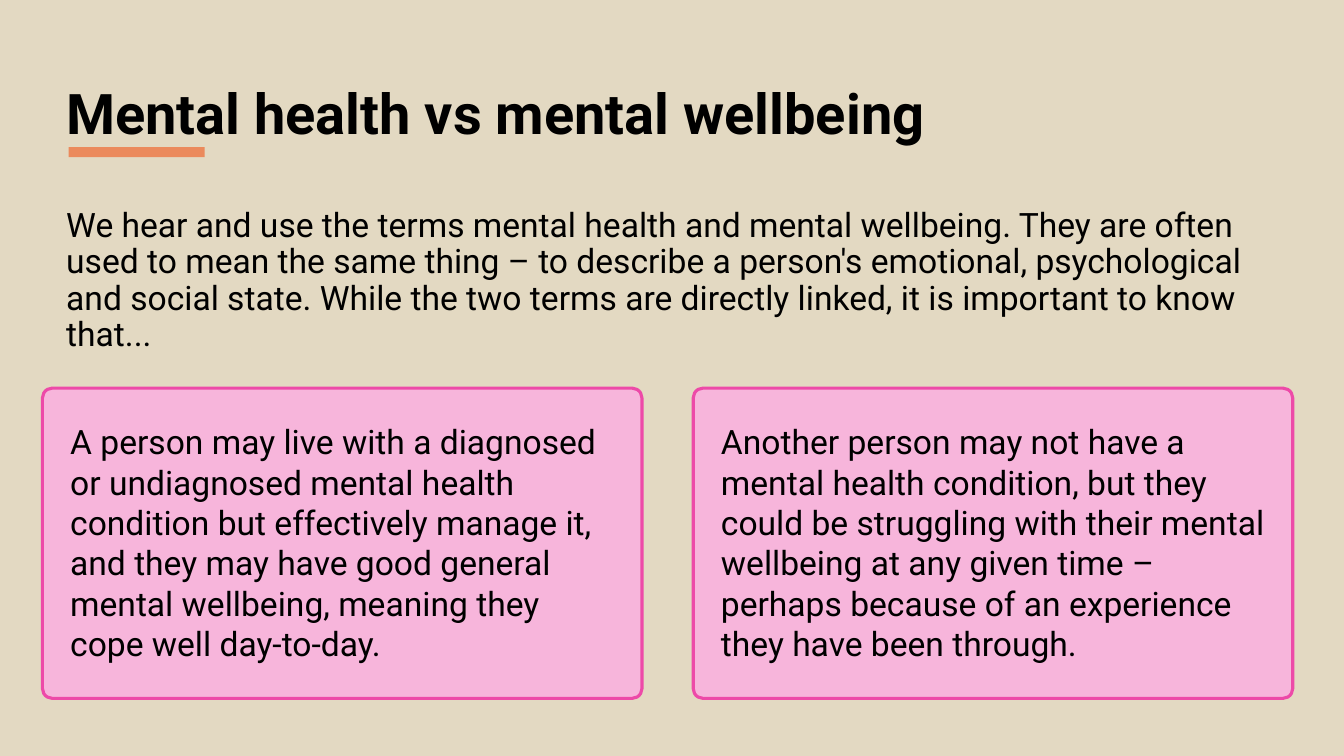
"""Builds the slide that sets mental health against mental wellbeing."""
from dataclasses import dataclass

from pptx import Presentation
from pptx.dml.color import RGBColor
from pptx.enum.shapes import MSO_SHAPE as Shp
from pptx.enum.text import MSO_ANCHOR as Anchor, MSO_AUTO_SIZE as Fit, PP_ALIGN as Align
from pptx.util import Cm, Pt

SAND = RGBColor(0xE3, 0xD9, 0xC2)
PINK = RGBColor(0xF7, 0xB5, 0xDB)
MAGENTA = RGBColor(0xED, 0x4A, 0xA8)
ORANGE = RGBColor(0xEB, 0x8A, 0x5C)
BLACK = RGBColor(0, 0, 0)
FONT = "Roboto"


@dataclass(frozen=True)
class Box:
    """A rectangle in centimetres."""
    x: float
    y: float
    w: float
    h: float

    def lengths(self) -> tuple:
        """Return left, top, width and height as lengths."""
        return Cm(self.x), Cm(self.y), Cm(self.w), Cm(self.h)


TITLE_BOX = Box(1.42, 1.93, 29.21, 2.03)
INTRO_BOX = Box(1.42, 5.13, 31.5, 3.2)
BAR_BOX = Box(1.73, 3.71, 3.43, 0.25)
CARD_LEFT, CARD_TOP, CARD_W, CARD_H = 1.07, 9.78, 15.11, 7.82
CARD_PITCH = 16.4
INSET_X, INSET_Y = 0.45, 0.71

TITLE = "Mental health vs mental wellbeing"
INTRO = (
    "We hear and use the terms mental health and mental wellbeing. They are often "
    "used to mean the same thing – to describe a person's emotional, psychological "
    "and social state. While the two terms are directly linked, it is important to "
    "know that..."
)
CARDS = (
    "A person may live with a diagnosed or undiagnosed mental health condition but "
    "effectively manage it, and they may have good general mental wellbeing, meaning "
    "they cope well day-to-day.",
    "Another person may not have a mental health condition, but they could be "
    "struggling with their mental wellbeing at any given time – perhaps because of "
    "an experience they have been through.",
)


def write(sp, text: str, size: int = 24, bold: bool = False,
          anchor=Anchor.TOP, spacing: float = 1.0):
    """Fill a shape with one left-aligned paragraph and return it."""
    tf = sp.text_frame
    tf.word_wrap = True
    tf.vertical_anchor = anchor
    p = tf.paragraphs[0]
    p.alignment = Align.LEFT
    p.line_spacing = spacing
    r = p.add_run()
    r.text = text
    r.font.name = FONT
    r.font.size = Pt(size)
    r.font.bold = bold
    r.font.color.rgb = BLACK
    return p


def add_panel(shapes, kind, box: Box, fill: RGBColor):
    """Add a flat filled shape without a line."""
    sp = shapes.add_shape(kind, *box.lengths())
    sp.shadow.inherit = False
    sp.fill.solid()
    sp.fill.fore_color.rgb = fill
    sp.line.fill.background()
    return sp


def add_card(s, column: int, text: str) -> None:
    """Add a grouped rounded card with its text."""
    shapes = s.shapes.add_group_shape().shapes
    x = CARD_LEFT + column * CARD_PITCH
    frame = add_panel(shapes, Shp.ROUNDED_RECTANGLE, Box(x, CARD_TOP, CARD_W, CARD_H), PINK)
    frame.adjustments[0] = 0.032
    frame.line.color.rgb = MAGENTA
    frame.line.width = Pt(2.25)
    inner = Box(x + INSET_X, CARD_TOP + INSET_Y, CARD_W - 2 * INSET_X, CARD_H - 2 * INSET_Y)
    sp = add_panel(shapes, Shp.RECTANGLE, inner, PINK)
    write(sp, text)
    sp.text_frame.auto_size = Fit.SHAPE_TO_FIT_TEXT


def main() -> None:
    """Build and save the slide."""
    prs = Presentation()
    prs.slide_width, prs.slide_height = Cm(33.87), Cm(19.05)
    s = prs.slides.add_slide(prs.slide_layouts[6])
    s.background.fill.solid()
    s.background.fill.fore_color.rgb = SAND

    title = s.shapes.add_textbox(*TITLE_BOX.lengths())
    write(title, TITLE, size=40, bold=True, anchor=Anchor.MIDDLE, spacing=0.9)
    intro = s.shapes.add_textbox(*INTRO_BOX.lengths())
    write(intro, INTRO, spacing=0.9).space_before = Pt(10)
    for column, text in enumerate(CARDS):
        add_card(s, column, text)
    add_panel(s.shapes, Shp.RECTANGLE, BAR_BOX, ORANGE)
    prs.save("out.pptx")


if __name__ == "__main__":
    main()
